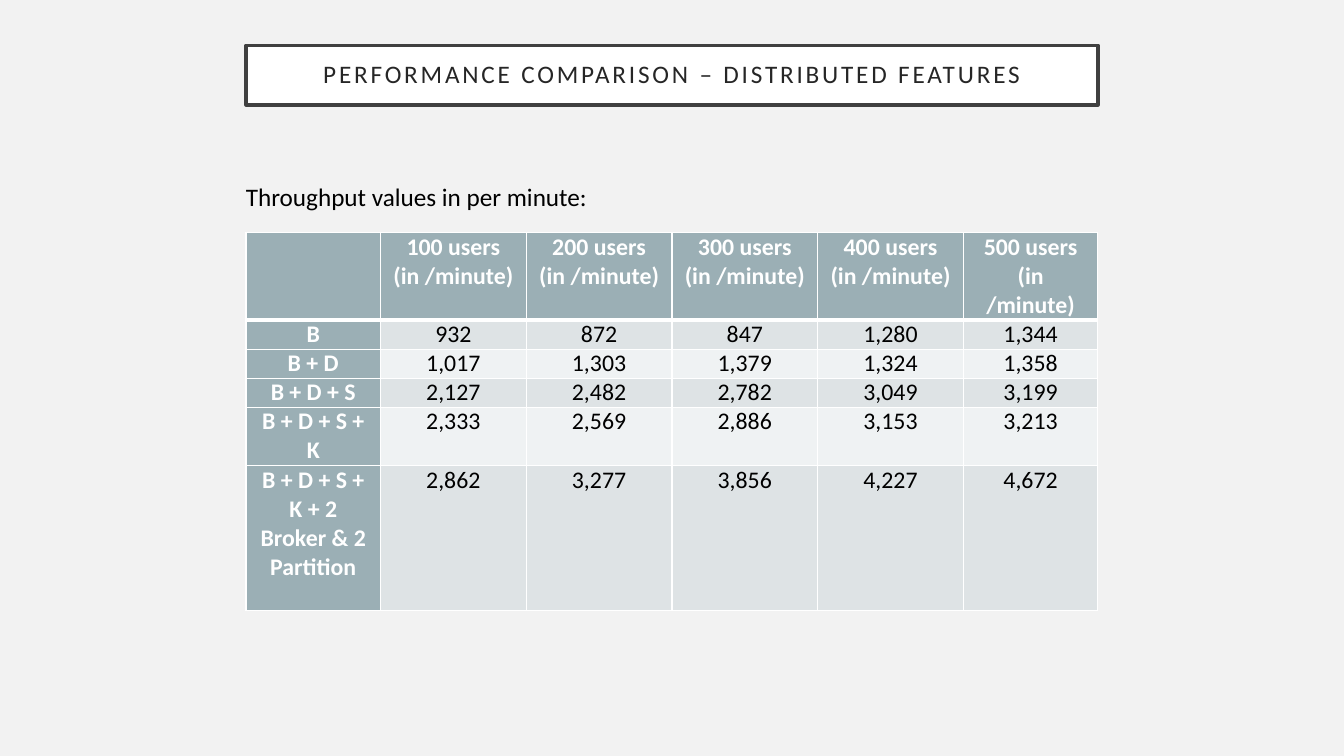
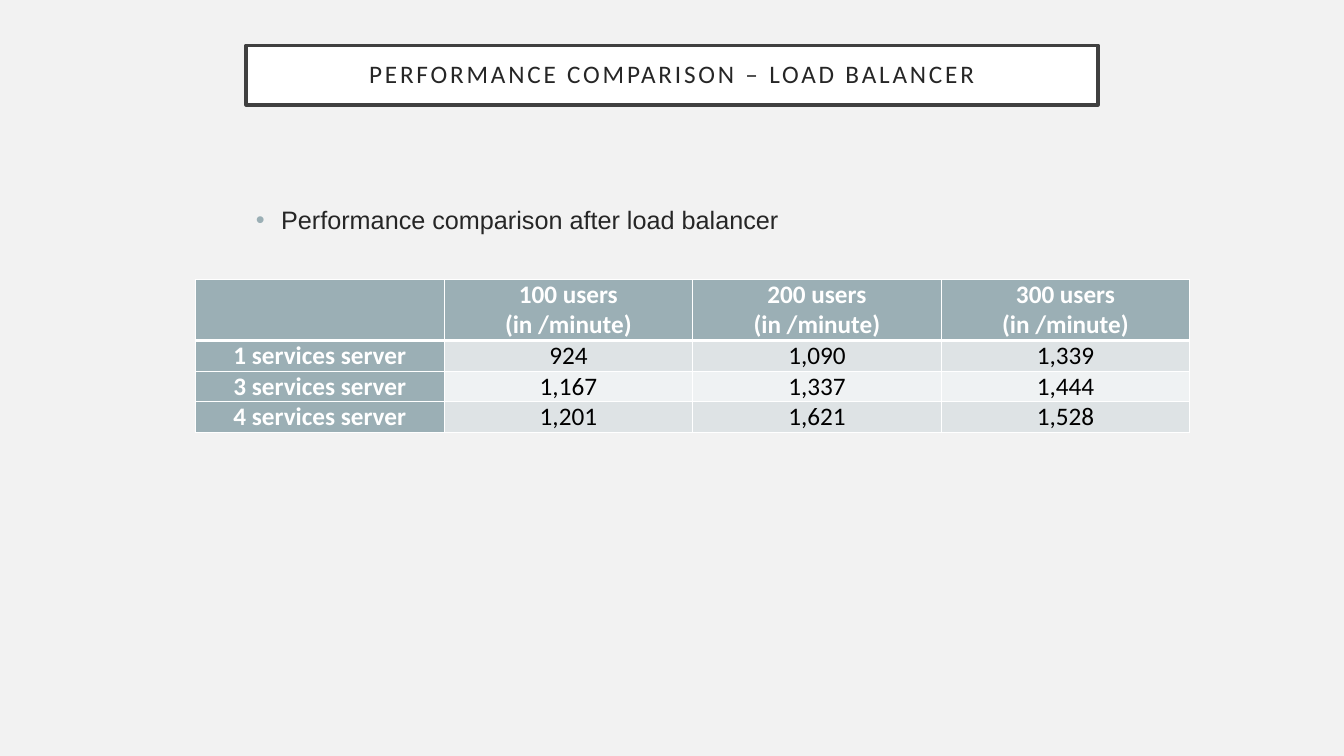
from pptx import Presentation
from pptx.dml.color import RGBColor
from pptx.enum.text import MSO_ANCHOR, MSO_AUTO_SIZE, PP_ALIGN
from pptx.oxml import parse_xml
from pptx.oxml.ns import nsdecls
from pptx.util import Inches, Pt

CENTER, MIDDLE, FIXED = PP_ALIGN.CENTER, MSO_ANCHOR.MIDDLE, MSO_AUTO_SIZE.NONE
WIDE, HIGH = 13.33, 7.5
COL = 8.45                  # width of the centred column
LEFT = (WIDE - COL) / 2


class Theme:
    back, white, black = "F2F2F2", "FFFFFF", "000000"
    frame, ink = "404040", "262626"
    head, bands = "9BAFB5", ("DEE3E5", "EFF2F3")
    font, alt = "Calibri", "Arial"
    size, small = 18, 17
    thin, thick = 1, 3


def write(para, text, color, size=Theme.size, font=Theme.font, bold=False):
    run = para.add_run()
    run.text = text
    run.font.name, run.font.size, run.font.bold = font, Pt(size), bold
    run.font.color.rgb = RGBColor.from_string(color)
    return run


def edge(cell, top, bottom):
    """Draw white borders; top and bottom are widths in points."""
    sides = (("L", Theme.thin), ("R", Theme.thin), ("T", top), ("B", bottom))
    for spot, (side, width) in enumerate(sides):
        line = parse_xml(
            f'<a:ln{side} {nsdecls("a")} w="{Pt(width)}"><a:solidFill>'
            f'<a:srgbClr val="{Theme.white}"/></a:solidFill></a:ln{side}>')
        cell._tc.get_or_add_tcPr().insert(spot, line)


# Column and row entries are relative shares of the table's width and height.
slides = [
    dict(title="PERFORMANCE COMPARISON – DISTRIBUTED FEATURES",
         note="Throughput values in per minute:", bullet=False,
         note_at=(2.34, 1.75, 3.67, 0.4),
         at=(LEFT, 2.31, COL, 3.75), size=Theme.small, pad=0.1,
         cols=(12, 13, 13, 13, 13, 12), rows=(3, 1, 1, 1, 2, 5),
         users=(100, 200, 300, 400, 500),
         data=[("B", 932, 872, 847, 1280, 1344),
               ("B + D", 1017, 1303, 1379, 1324, 1358),
               ("B + D + S", 2127, 2482, 2782, 3049, 3199),
               ("B + D + S + K", 2333, 2569, 2886, 3153, 3213),
               ("B + D + S + K + 2 Broker & 2 Partition",
                2862, 3277, 3856, 4227, 4672)]),
    dict(title="PERFORMANCE COMPARISON – LOAD BALANCER",
         note="Performance comparison after load balancer", bullet=True,
         note_at=(LEFT, 1.98, COL, 0.6),
         at=(1.94, 2.77, 9.86, 1.52), size=Theme.size, pad=0.11,
         cols=(1, 1, 1, 1), rows=(2, 1, 1, 1),
         users=(100, 200, 300),
         data=[("1 services server", 924, 1090, 1339),
               ("3 services server", 1167, 1337, 1444),
               ("4 services server", 1201, 1621, 1528)]),
]

prs = Presentation()
prs.slide_width, prs.slide_height = Inches(WIDE), Inches(HIGH)
fill = prs.slide_master.background.fill
fill.solid()
fill.fore_color.rgb = RGBColor.from_string(Theme.back)

for item in slides:
    slide = prs.slides.add_slide(prs.slide_layouts[5])

    # Framed title
    title = slide.shapes.title
    title.left, title.top = Inches(LEFT), Inches(HIGH * 0.06)
    title.width, title.height = Inches(COL), Inches(0.59)
    title.fill.solid()
    title.fill.fore_color.rgb = RGBColor.from_string(Theme.white)
    title.line.color.rgb = RGBColor.from_string(Theme.frame)
    title.line.width = Pt(2.5)
    frame = title.text_frame
    frame.auto_size, frame.vertical_anchor = FIXED, MIDDLE
    frame.margin_left = frame.margin_right = Inches(0.2)
    frame.margin_top = frame.margin_bottom = Inches(0.2)
    para = frame.paragraphs[0]
    para.alignment, para.line_spacing = CENTER, 0.9
    run = write(para, item["title"], Theme.ink)
    run.font._element.set("spc", "200")

    # Lead-in line above the table
    box = slide.shapes.add_textbox(*map(Inches, item["note_at"]))
    box.text_frame.word_wrap = item["bullet"]
    para = box.text_frame.paragraphs[0]
    if item["bullet"]:
        para.space_before = Pt(10)
        props = para._p.get_or_add_pPr()
        props.set("marL", str(Inches(0.25)))
        props.set("indent", str(-Inches(0.25)))
        for mark in (f'<a:buClr {nsdecls("a")}><a:srgbClr val="{Theme.head}"/></a:buClr>',
                     f'<a:buFont {nsdecls("a")} typeface="{Theme.alt}"/>',
                     f'<a:buChar {nsdecls("a")} char="•"/>'):
            props.append(parse_xml(mark))
        write(para, item["note"], Theme.ink, font=Theme.alt)
    else:
        write(para, item["note"], Theme.black)

    # Results table
    cols, rows = item["cols"], item["rows"]
    left, top, width, height = item["at"]
    table = slide.shapes.add_table(
        len(rows), len(cols), *map(Inches, item["at"])).table
    table.first_col = True
    for col, share in zip(table.columns, cols):
        col.width = Inches(width * share / sum(cols))
    for row, share in zip(table.rows, rows):
        row.height = Inches(height * share / sum(rows))

    heads = ["", *(f"{count} users\n(in /minute)" for count in item["users"])]
    for r, line in enumerate([heads, *item["data"]]):
        for c, value in enumerate(line):
            cell = table.cell(r, c)
            label = r == 0 or c == 0
            shade = Theme.head if label else Theme.bands[(r - 1) % 2]
            cell.fill.solid()
            cell.fill.fore_color.rgb = RGBColor.from_string(shade)
            edge(cell, Theme.thick if r == 1 else Theme.thin,
                 Theme.thick if r == 0 else Theme.thin)
            cell.margin_left = cell.margin_right = Inches(item["pad"])
            cell.margin_top = cell.margin_bottom = 0
            text = value if label else f"{value:,}"
            frame = cell.text_frame
            for n, part in enumerate(text.splitlines()):
                para = frame.add_paragraph() if n else frame.paragraphs[0]
                para.alignment = CENTER
                write(para, part, Theme.white if label else Theme.black,
                      item["size"], bold=label)

prs.save("out.pptx")
